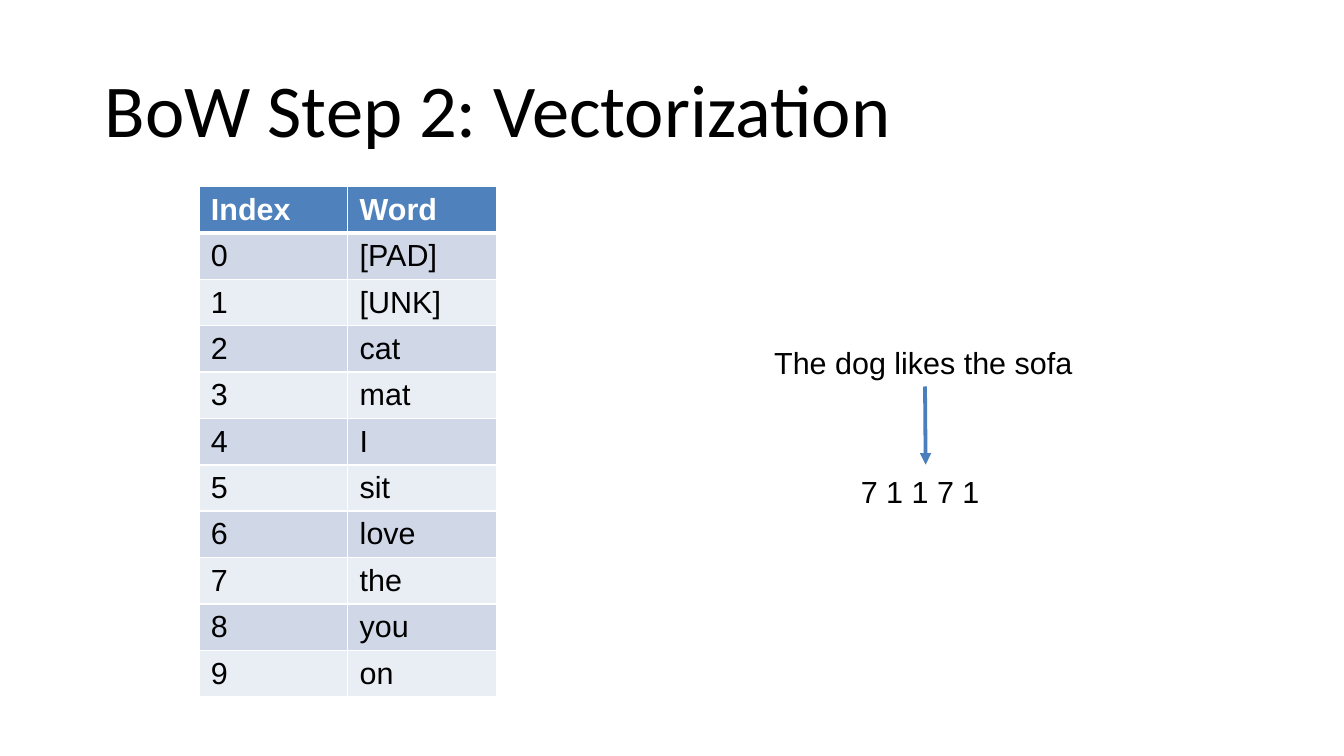
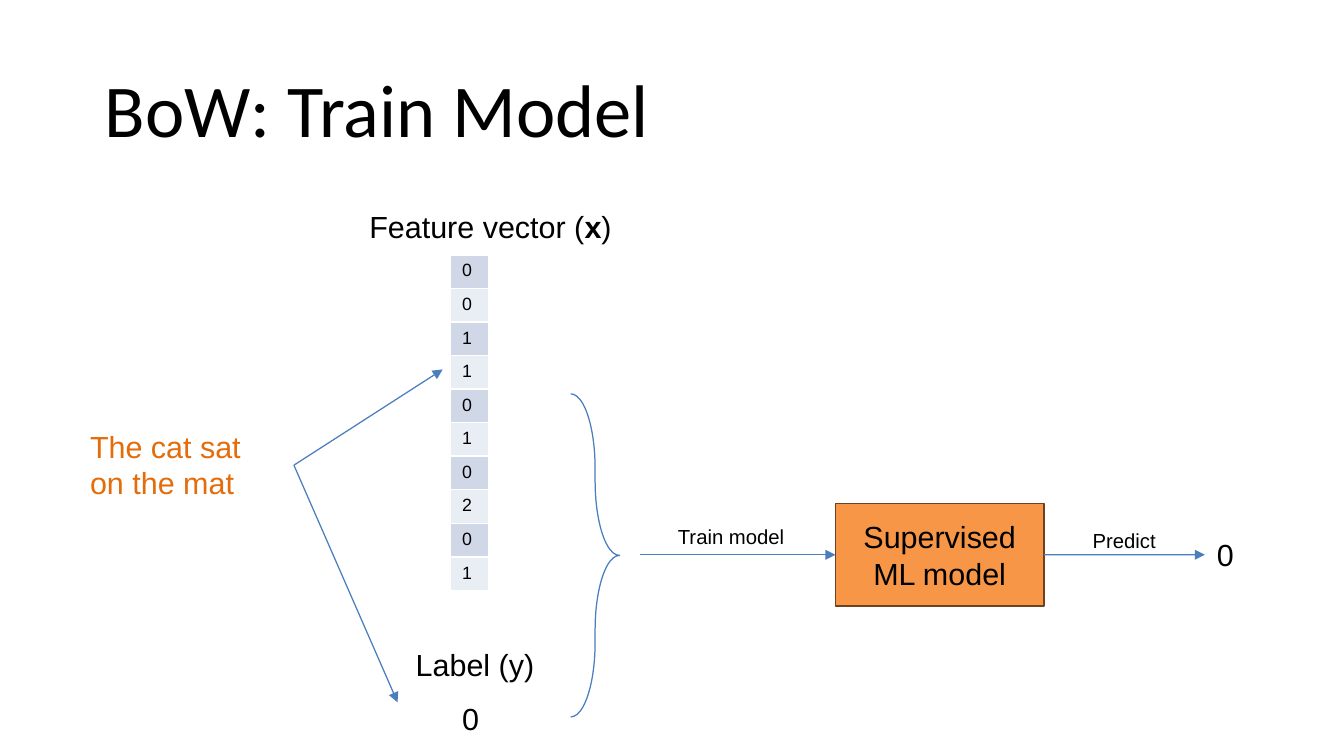
from lxml.etree import SubElement
from pptx import Presentation
from pptx.dml.color import RGBColor
from pptx.enum.shapes import MSO_CONNECTOR, MSO_SHAPE
from pptx.enum.text import MSO_ANCHOR, MSO_AUTO_SIZE, PP_ALIGN
from pptx.oxml.ns import qn
from pptx.util import Inches, Pt

COLORS = {
    "text": "000000",
    "white": "FFFFFF",
    "header": "4F81BD",
    "band_dark": "D0D8E8",
    "band_light": "E9EDF4",
    "line": "4B7EBC",
    "sentence": "E46C0A",
    "model": "F79646",
    "model_edge": "6C421F",
}
TITLE_FONT, BODY_FONT = "Calibri", "Arial"
TITLE_BOX = (0.76, 0.33, 9.51, 1.2)
TOP, LEFT, BOTTOM, RIGHT = range(4)
VOCABULARY = ["[PAD]", "[UNK]", "cat", "mat", "I", "sit", "love", "the", "you", "on"]
FEATURES = [0, 0, 1, 1, 0, 1, 0, 2, 0, 1]


def color(name):
    return RGBColor.from_string(COLORS[name])


def add_run(paragraph, text, size, color_name="text", bold=False, font=BODY_FONT):
    run = paragraph.add_run()
    run.text = text
    run.font.name = font
    run.font.size = Pt(size)
    run.font.bold = bold
    run.font.color.rgb = color(color_name)


def add_titled_slide(presentation, title):
    slide = presentation.slides.add_slide(presentation.slide_layouts[5])
    shape = slide.shapes.title
    shape.left, shape.top, shape.width, shape.height = map(Inches, TITLE_BOX)
    shape.text_frame.vertical_anchor = MSO_ANCHOR.MIDDLE
    paragraph = shape.text_frame.paragraphs[0]
    paragraph.alignment = PP_ALIGN.LEFT
    paragraph.line_spacing = 0.9
    add_run(paragraph, title, 44, font=TITLE_FONT)
    return slide


def add_label(slide, box, *parts, size=18, color_name="text", wrap=False):
    """Add a text box; each part is a text and whether it is bold."""
    label = slide.shapes.add_textbox(*map(Inches, box))
    frame = label.text_frame
    frame.word_wrap = wrap
    frame.auto_size = MSO_AUTO_SIZE.SHAPE_TO_FIT_TEXT
    for text, bold in parts:
        add_run(frame.paragraphs[0], text, size, color_name, bold)
    return label


def add_arrow(slide, start, end, width=0.75, source=None, target=None):
    """Draw an arrow; source and target are (shape, side) pairs to join."""
    arrow = slide.shapes.add_connector(
        MSO_CONNECTOR.STRAIGHT, *map(Inches, (*start, *end)))
    if source:
        arrow.begin_connect(*source)
    if target:
        arrow.end_connect(*target)
    arrow.line.color.rgb = color("line")
    arrow.line.width = Pt(width)
    SubElement(arrow.line._get_or_add_ln(), qn("a:tailEnd"), type="triangle")
    SubElement(arrow._element.spPr, qn("a:effectLst"))


def set_cell_borders(cell, top, bottom):
    properties = cell._tc.get_or_add_tcPr()
    for side, width in (("L", 1), ("R", 1), ("T", top), ("B", bottom)):
        border = SubElement(properties, qn(f"a:ln{side}"), w=str(Pt(width)))
        fill = SubElement(border, qn("a:solidFill"))
        SubElement(fill, qn("a:srgbClr"), val=COLORS["white"])


def add_banded_table(slide, left, top, column_width, row_height, rows, size,
                     header=None):
    all_rows = ([header] if header else []) + rows
    column_count = len(rows[0])
    table = slide.shapes.add_table(
        len(all_rows), column_count, Inches(left), Inches(top),
        Inches(column_width * column_count),
        Inches(row_height * len(all_rows))).table
    table.first_row = bool(header)
    table.horz_banding = False
    first_body_row = 1 if header else 0
    for row_index, values in enumerate(all_rows):
        is_header = row_index < first_body_row
        band = (row_index - first_body_row) % 2
        fill = "header" if is_header else ("band_dark", "band_light")[band]
        below_header = header and row_index == first_body_row
        for column_index, value in enumerate(values):
            cell = table.cell(row_index, column_index)
            set_cell_borders(cell, 3 if below_header else 1, 3 if is_header else 1)
            cell.fill.solid()
            cell.fill.fore_color.rgb = color(fill)
            add_run(cell.text_frame.paragraphs[0], str(value), size,
                    "white" if is_header else "text", is_header)


def add_sentence_encoding(slide, left, top):
    sentence = add_label(slide, (left, top, 2.67, 0.4),
                         ("The dog likes the sofa", False))
    add_label(slide, (left + 0.71, top + 1.06, 1.51, 0.4),
              ("7 1 1 7 1", False), wrap=True)
    middle = left + 1.34
    add_arrow(slide, (middle, top + 0.4), (middle, top + 1.04), 2.25,
              source=(sentence, BOTTOM))


def add_training_example(slide, left, top):
    """Place the sentence, its feature vector and label, and the brace."""
    add_label(slide, (left + 2.29, top, 2.19, 0.4),
              ("Feature vector (", False), ("x", True), (")", False))
    add_banded_table(slide, left + 3.05, top + 0.43, 0.32, 0.26,
                     [[value] for value in FEATURES], 10.5)
    add_label(slide, (left + 2.67, top + 3.59, 1.18, 0.4), ("Label (y)", False))
    add_label(slide, (left + 3.05, top + 4.03, 0.34, 0.4), ("0", False))
    sentence = add_label(slide, (left, top + 1.8, 1.77, 0.71),
                         ("The cat sat on the mat", False),
                         color_name="sentence", wrap=True)
    fork = (left + 1.77, top + 2.16)
    for end in ((left + 2.99, top + 1.37), (left + 2.62, top + 4.1)):
        add_arrow(slide, fork, end, source=(sentence, RIGHT))
    brace = slide.shapes.add_shape(
        MSO_SHAPE.RIGHT_BRACE,
        *map(Inches, (left + 4.04, top + 1.57, 0.4, 2.65)))
    brace.adjustments[0] = 1.53
    brace.adjustments[1] = 0.5
    brace.shadow.inherit = False
    brace.fill.background()
    brace.line.color.rgb = color("line")
    brace.line.width = Pt(0.75)


def add_model_flow(slide, left, middle):
    """Place the model and its arrows along the height given by middle."""
    model = slide.shapes.add_shape(
        MSO_SHAPE.RECTANGLE,
        *map(Inches, (left + 1.6, middle - 0.42, 1.71, 0.84)))
    model.shadow.inherit = False
    model.fill.solid()
    model.fill.fore_color.rgb = color("model")
    model.line.color.rgb = color("model_edge")
    model.line.width = Pt(1)
    frame = model.text_frame
    frame.word_wrap = True
    frame.vertical_anchor = MSO_ANCHOR.MIDDLE
    frame.paragraphs[0].alignment = PP_ALIGN.CENTER
    add_run(frame.paragraphs[0], "Supervised ML model", 18)

    prediction = add_label(slide, (left + 4.63, middle - 0.2, 0.34, 0.4),
                           ("0", False))
    add_arrow(slide, (left, middle), (left + 1.6, middle), target=(model, LEFT))
    add_arrow(slide, (left + 3.31, middle), (left + 4.63, middle),
              source=(model, RIGHT), target=(prediction, LEFT))
    add_label(slide, (left + 0.21, middle - 0.3, 1.08, 0.3),
              ("Train model", False), size=12)
    add_label(slide, (left + 3.61, middle - 0.27, 0.72, 0.3),
              ("Predict", False), size=12)


def build_vectorization_slide(presentation):
    slide = add_titled_slide(presentation, "BoW Step 2: Vectorization")
    rows = [list(pair) for pair in enumerate(VOCABULARY)]
    add_banded_table(slide, 1.63, 1.53, 1.22, 0.38, rows, 18, ["Index", "Word"])
    add_sentence_encoding(slide, 6.25, 2.77)


def build_training_slide(presentation):
    slide = add_titled_slide(presentation, "BoW: Train Model")
    add_training_example(slide, 0.64, 1.66)
    add_model_flow(slide, 5.25, 4.55)


def main():
    presentation = Presentation()
    presentation.slide_width = Inches(11.02)
    presentation.slide_height = Inches(6.2)
    build_vectorization_slide(presentation)
    build_training_slide(presentation)
    presentation.save("out.pptx")


if __name__ == "__main__":
    main()
